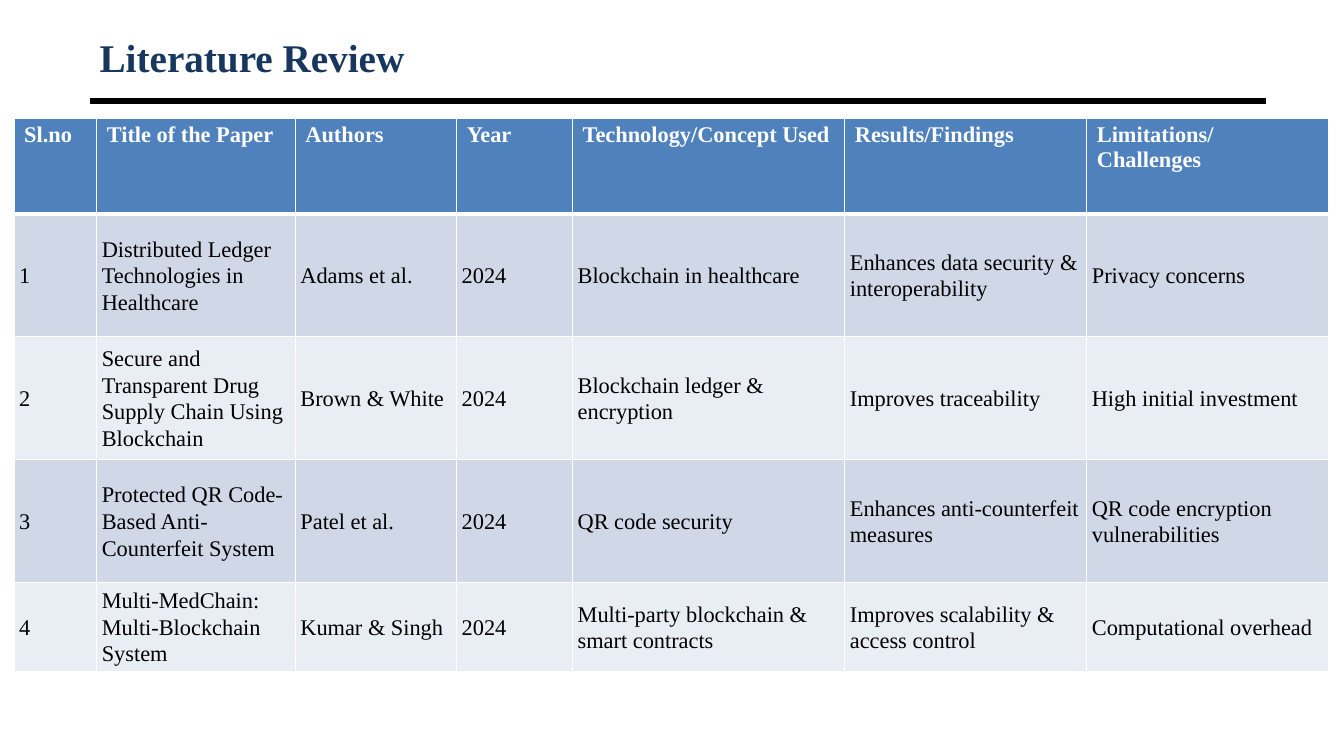
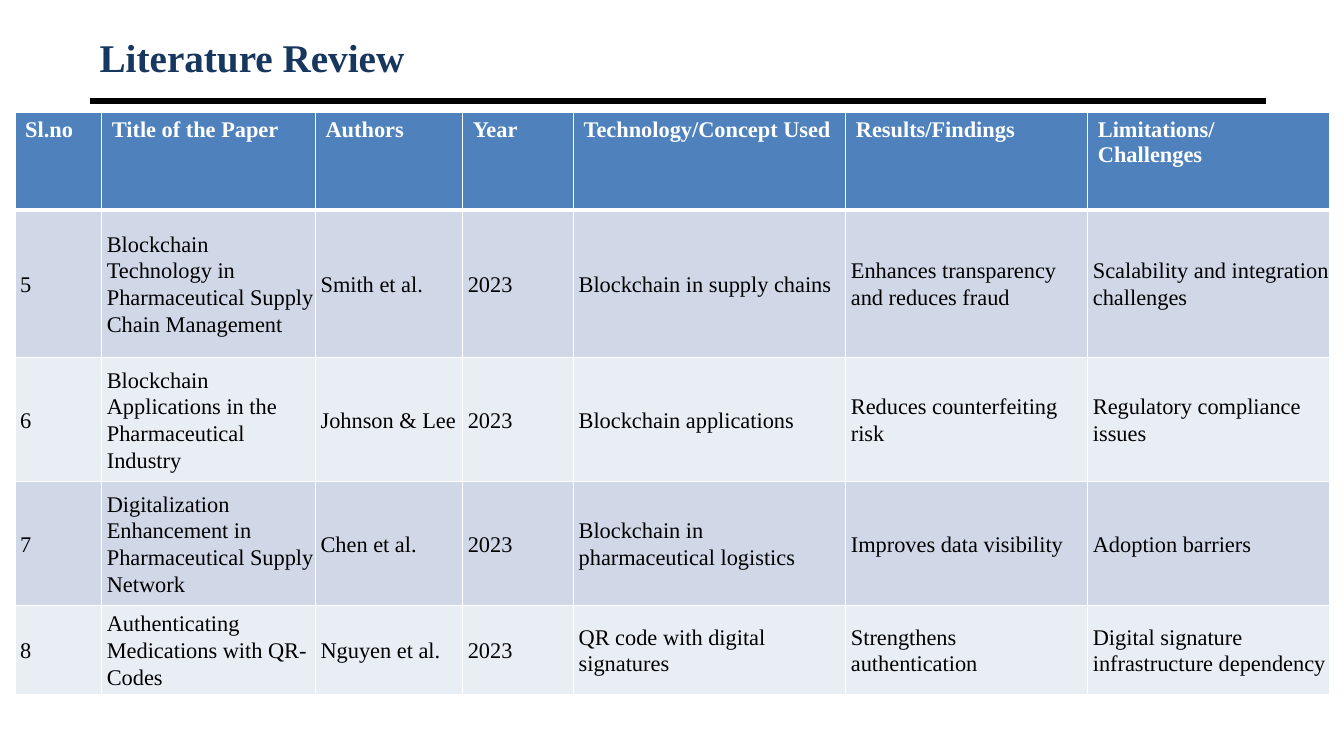
from lxml import etree
from pptx import Presentation
from pptx.dml.color import RGBColor
from pptx.enum.shapes import MSO_CONNECTOR
from pptx.enum.text import MSO_ANCHOR
from pptx.oxml.ns import qn
from pptx.util import Inches, Pt

STRAIGHT = MSO_CONNECTOR.STRAIGHT
MIDDLE = MSO_ANCHOR.MIDDLE
TOP = MSO_ANCHOR.TOP

TITLE = "Literature Review"
HEADINGS = ["Sl.no", "Title of the Paper", "Authors", "Year",
            "Technology/Concept Used", "Results/Findings", "Limitations/\nChallenges"]

PAPERS_2024 = [
    ["1", "Distributed Ledger Technologies in Healthcare", "Adams et al.", "2024",
     "Blockchain in healthcare", "Enhances data security & interoperability", "Privacy concerns"],
    ["2", "Secure and Transparent Drug Supply Chain Using Blockchain", "Brown & White", "2024",
     "Blockchain ledger & encryption", "Improves traceability", "High initial investment"],
    ["3", "Protected QR Code-Based Anti-Counterfeit System", "Patel et al.", "2024",
     "QR code security", "Enhances anti-counterfeit measures", "QR code encryption vulnerabilities"],
    ["4", "Multi-MedChain: Multi-Blockchain System", "Kumar & Singh", "2024",
     "Multi-party blockchain & smart contracts", "Improves scalability & access control",
     "Computational overhead"],
]

PAPERS_2023 = [
    ["5", "Blockchain Technology in Pharmaceutical Supply Chain Management", "Smith et al.", "2023",
     "Blockchain in supply chains", "Enhances transparency and reduces fraud",
     "Scalability and integration challenges"],
    ["6", "Blockchain Applications in the Pharmaceutical Industry", "Johnson & Lee", "2023",
     "Blockchain applications", "Reduces counterfeiting risk", "Regulatory compliance issues"],
    ["7", "Digitalization Enhancement in Pharmaceutical Supply Network", "Chen et al.", "2023",
     "Blockchain in pharmaceutical logistics", "Improves data visibility", "Adoption barriers"],
    ["8", "Authenticating Medications with QR-Codes", "Nguyen et al.", "2023",
     "QR code with digital signatures", "Strengthens authentication",
     "Digital signature infrastructure dependency"],
]


def color(value):
    return RGBColor.from_string(value)


class ReviewDeck:
    FONT = "Times New Roman"
    NAVY = "17375E"
    BLACK = "000000"
    WHITE = "FFFFFF"
    HEADER_FILL = "4F81BD"
    BAND_FILLS = ["D0D8E8", "E9EDF4"]
    LEFT, RIGHT = 0.89, 12.56

    def __init__(self):
        self.deck = Presentation()
        self.deck.slide_width = Inches(13.33)
        self.deck.slide_height = Inches(7.5)
        self.page = None

    def add_page(self, title):
        self.page = self.deck.slides.add_slide(self.deck.slide_layouts[6])
        self.rule(1)
        self.title(title)

    def rule(self, top):
        line = self.page.shapes.add_connector(
            STRAIGHT, Inches(self.LEFT), Inches(top), Inches(self.RIGHT), Inches(top))
        line.line.color.rgb = color(self.BLACK)
        line.line.width = Pt(4.5)
        etree.SubElement(line._element.spPr, qn("a:effectLst"))

    def title(self, text):
        box = self.page.shapes.add_textbox(
            Inches(self.LEFT), Inches(0.3), Inches(self.RIGHT - self.LEFT), Inches(0.53))
        frame = box.text_frame
        frame.word_wrap = True
        frame.vertical_anchor = MIDDLE
        frame.text = text
        self.style(frame, 28, self.NAVY, True)

    def style(self, frame, size, text_color, bold):
        for para in frame.paragraphs:
            for span in para.runs:
                span.font.name = self.FONT
                span.font.size = Pt(size)
                span.font.bold = bold
                span.font.color.rgb = color(text_color)

    def border(self, cell, side, width):
        line = etree.SubElement(cell._tc.get_or_add_tcPr(), qn(f"a:ln{side}"), w=str(Pt(width)))
        fill = etree.SubElement(line, qn("a:solidFill"))
        etree.SubElement(fill, qn("a:srgbClr"), val=self.WHITE)

    def cell(self, cell, text, row):
        is_header = row == 0
        cell.text_frame.text = text
        for side in "LRTB":
            under_header = (side == "B" and row == 0) or (side == "T" and row == 1)
            self.border(cell, side, 3 if under_header else 1)
        cell.fill.solid()
        if is_header:
            cell.fill.fore_color.rgb = color(self.HEADER_FILL)
            cell.vertical_anchor = TOP
        else:
            cell.fill.fore_color.rgb = color(self.BAND_FILLS[(row - 1) % 2])
            cell.vertical_anchor = MIDDLE
            cell.margin_left = Inches(0.05)
            cell.margin_right = cell.margin_top = cell.margin_bottom = Inches(0.01)
            for para in cell.text_frame.paragraphs:
                para.line_spacing = 1.07
                para.space_after = Pt(8)
        self.style(cell.text_frame, 16, self.WHITE if is_header else self.BLACK, is_header)

    def table(self, left, top, widths, heights, papers):
        rows = [HEADINGS] + papers
        table = self.page.shapes.add_table(
            len(rows), len(widths), Inches(left), Inches(top),
            Inches(sum(widths)), Inches(sum(heights))).table
        for column, width in zip(table.columns, widths):
            column.width = Inches(width)
        for index, (height, texts) in enumerate(zip(heights, rows)):
            table.rows[index].height = Inches(height)
            for column, text in enumerate(texts):
                self.cell(table.cell(index, column), text, index)

    def save(self):
        self.deck.save("out.pptx")


def main():
    review = ReviewDeck()
    review.add_page(TITLE)
    review.table(0.14, 1.17, [0.82, 1.97, 1.6, 1.15, 2.7, 2.4, 2.4],
                 [0.95, 1.22, 1.22, 1.22, 0.88], PAPERS_2024)
    review.add_page(TITLE)
    review.table(0.15, 1.12, [0.86, 2.12, 1.46, 1.1, 2.7, 2.4, 2.4],
                 [0.96, 1.47, 1.23, 1.23, 0.88], PAPERS_2023)
    review.save()


if __name__ == "__main__":
    main()
